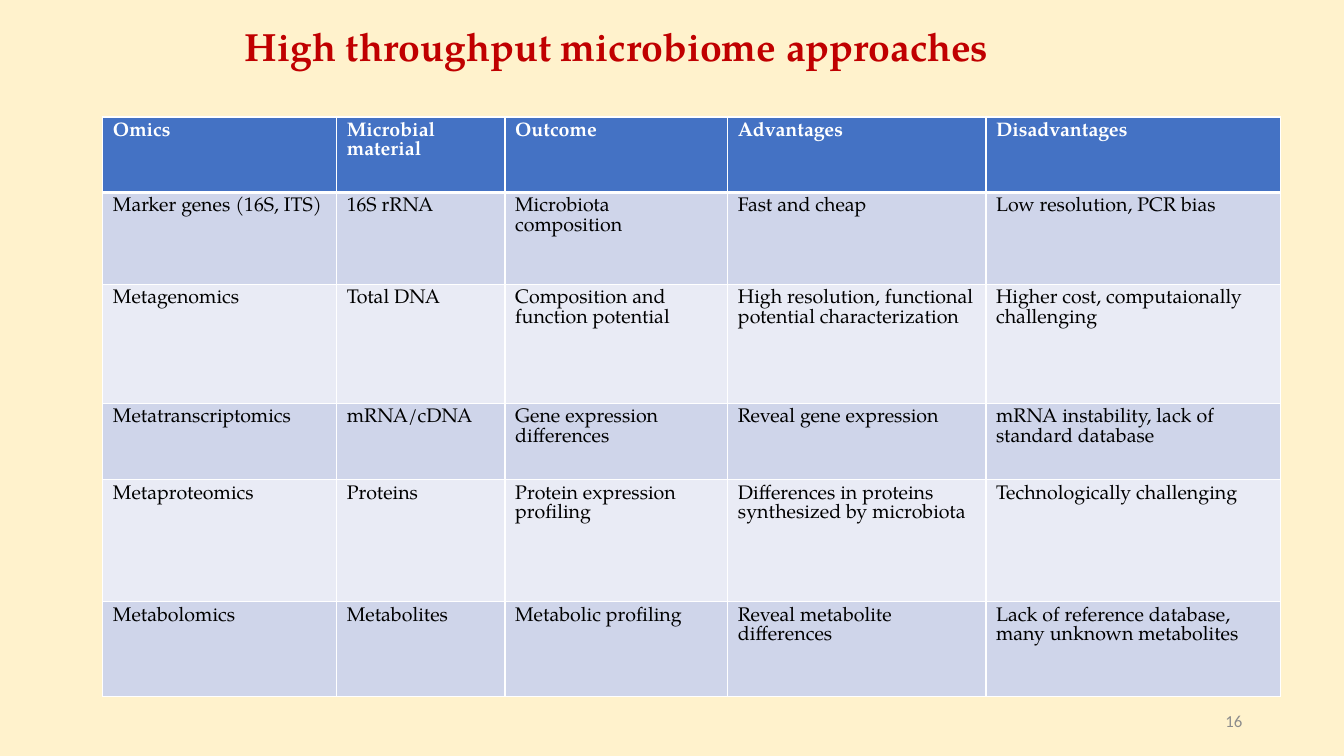
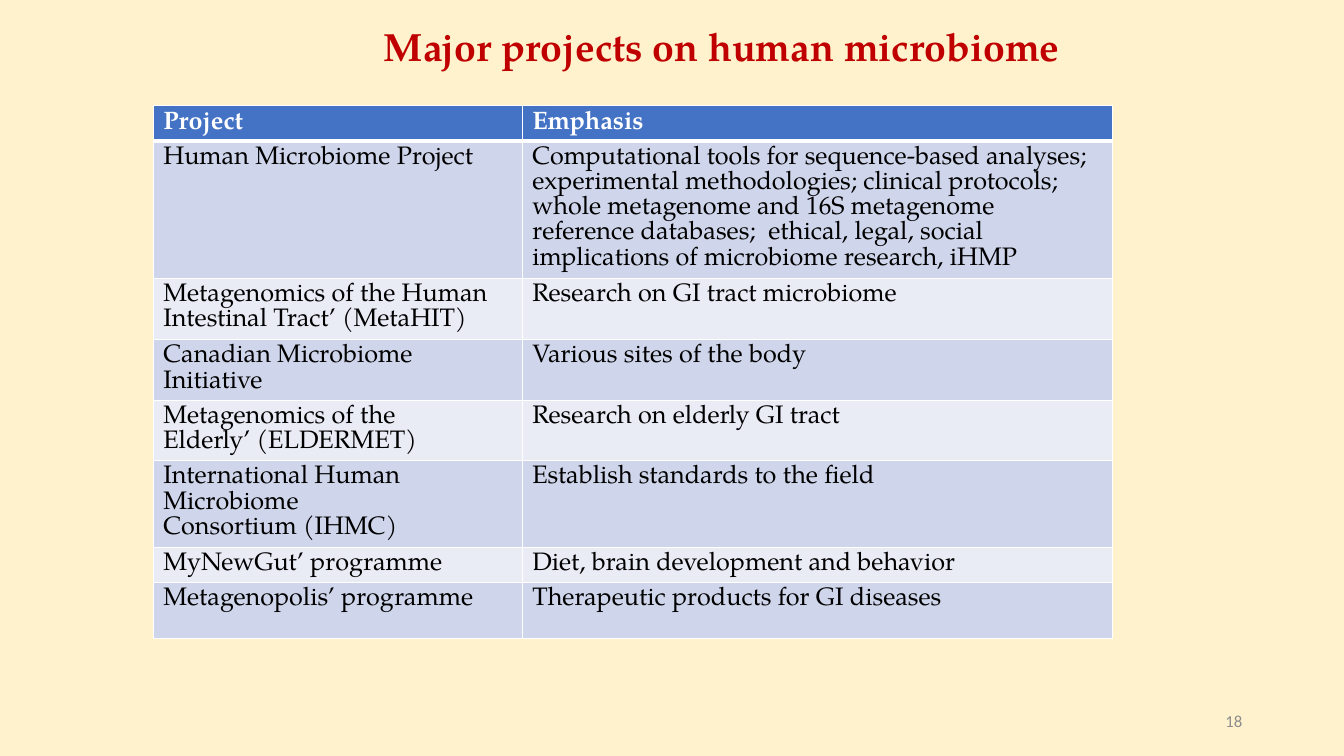
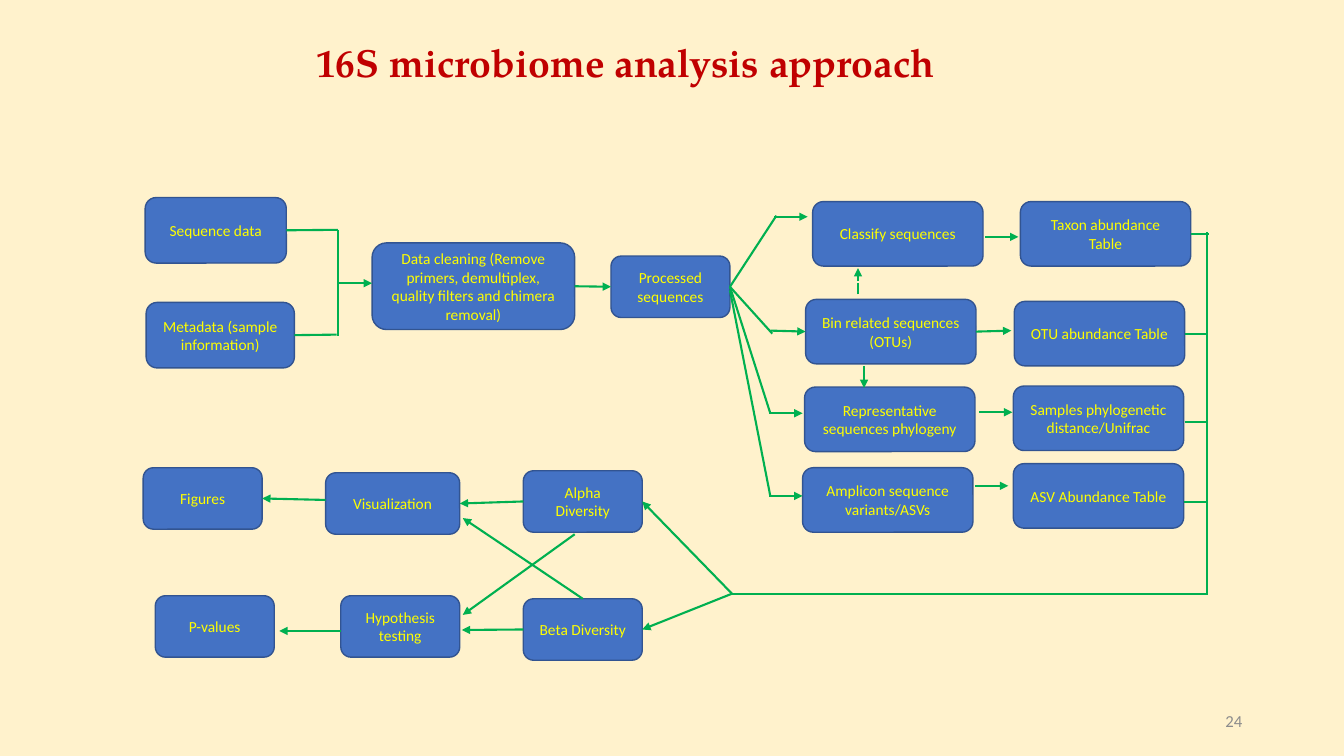
"""Build three slides on microbiome methods, projects and the 16S workflow."""
from lxml.etree import SubElement
from pptx import Presentation
from pptx.dml.color import RGBColor
from pptx.enum.shapes import MSO_CONNECTOR, MSO_SHAPE
from pptx.enum.text import MSO_ANCHOR, PP_ALIGN
from pptx.oxml.ns import qn
from pptx.util import Inches, Pt

COLORS = {
    "page": "FFF2CC", "title": "C00000", "number": "8C8C8C",
    "blue": "4472C4", "outline": "325491", "label": "FFFF00", "arrow": "00B050",
    "white": "FFFFFF", "black": "000000", "odd": "CFD5EA", "even": "E9EBF5",
}
SERIF, SANS = "TeX Gyre Pagella", "Calibri"
TITLE = {"name": SERIF, "size": Pt(28), "bold": True, "color": "title"}
NUMBER = {"name": SANS, "size": Pt(12), "color": "number"}
LABEL = {"name": SANS, "size": Pt(11), "color": "label"}

OMICS = [
    ["Omics", "Microbial material", "Outcome", "Advantages", "Disadvantages"],
    ["Marker genes (16S, ITS)", "16S rRNA", "Microbiota composition",
     "Fast and cheap", "Low resolution, PCR bias"],
    ["Metagenomics", "Total DNA", "Composition and function potential",
     "High resolution, functional potential characterization",
     "Higher cost, computaionally challenging"],
    ["Metatranscriptomics", "mRNA/cDNA", "Gene expression differences",
     "Reveal gene expression", "mRNA instability, lack of standard database"],
    ["Metaproteomics", "Proteins", "Protein expression profiling",
     "Differences in proteins synthesized by microbiota",
     "Technologically challenging"],
    ["Metabolomics", "Metabolites", "Metabolic profiling",
     "Reveal metabolite differences",
     "Lack of reference database, many unknown metabolites"],
]
PROJECTS = [
    ["Project", "Emphasis"],
    ["Human Microbiome Project",
     "Computational tools for sequence-based analyses; experimental "
     "methodologies; clinical protocols; whole metagenome and 16S metagenome "
     "reference databases;  ethical, legal, social implications of microbiome "
     "research, iHMP"],
    ["Metagenomics of the Human Intestinal Tract’ (MetaHIT)",
     "Research on GI tract microbiome"],
    ["Canadian Microbiome Initiative", "Various sites of the body"],
    ["Metagenomics of the\nElderly’ (ELDERMET)", "Research on elderly GI tract"],
    ["International Human Microbiome\nConsortium (IHMC)",
     "Establish standards to the field"],
    ["MyNewGut’ programme", "Diet, brain development and behavior"],
    ["Metagenopolis’ programme", "Therapeutic products for GI diseases"],
]

WIDE, SMALL = (1.69, 0.64), (1.18, 0.61)
STEPS = [
    ("Sequence data", 1.44, 1.96, (1.4, 0.65)),
    ("Metadata (sample information)", 1.45, 3, (1.47, 0.65)),
    ("Data cleaning (Remove primers, demultiplex, quality filters and "
     "chimera removal)", 3.69, 2.41, (2.01, 0.86)),
    ("Processed sequences", 6.06, 2.54, SMALL),
    ("Classify sequences", 8.06, 2, WIDE),
    ("Bin related sequences (OTUs)", 7.99, 2.97, WIDE),
    ("Representative sequences phylogeny", 7.98, 3.84, WIDE),
    ("Amplicon sequence variants/ASVs", 7.96, 4.64, WIDE),
    ("Taxon abundance Table", 10.12, 2, WIDE),
    ("OTU abundance Table", 10.06, 2.99, WIDE),
    ("Samples phylogenetic distance/Unifrac", 10.05, 3.83, WIDE),
    ("ASV Abundance Table", 10.05, 4.6, WIDE),
    ("Alpha Diversity", 5.19, 4.67, SMALL),
    ("Beta Diversity", 5.19, 5.94, SMALL),
    ("Visualization", 3.23, 4.69, (1.33, 0.61)),
    ("Hypothesis testing", 3.38, 5.91, SMALL),
    ("Figures", 1.42, 4.64, SMALL),
    ("P-values", 1.54, 5.91, SMALL),
]
LINES = [
    (2.85, 2.29, 3.35, 2.28), (2.92, 3.32, 3.34, 3.32), (3.35, 2.28, 3.35, 3.33),
    (7.24, 2.85, 7.7, 2.14), (7.26, 2.86, 7.66, 3.31),
    (7.25, 2.83, 7.64, 4.1), (7.24, 2.88, 7.64, 4.92),
    (8.51, 2.92, 8.51, 2.81),
    (11.81, 2.32, 11.99, 2.32), (11.74, 3.31, 11.97, 3.31),
    (11.75, 4.19, 11.98, 4.19), (11.74, 4.98, 11.97, 4.98),
    (11.97, 2.3, 11.97, 5.9), (11.98, 5.89, 7.26, 5.89),
]
ARROWS = [
    (3.36, 2.81, 3.69, 2.81), (5.71, 2.83, 6.04, 2.83),
    (7.68, 2.15, 8.01, 2.15), (7.64, 3.28, 7.97, 3.28),
    (7.63, 4.1, 7.96, 4.1), (7.63, 4.92, 7.96, 4.92),
    (9.77, 2.35, 10.1, 2.35), (9.7, 3.28, 10.03, 3.28),
    (9.71, 4.09, 10.04, 4.09), (9.67, 4.82, 10, 4.82),
    (8.51, 2.79, 8.51, 2.66), (8.57, 3.63, 8.57, 3.85),
    (7.26, 5.89, 6.38, 4.98), (7.26, 5.89, 6.38, 6.25),
    (5.19, 4.98, 4.58, 4.98), (5.19, 6.26, 4.58, 6.25),
    (5.7, 5.3, 4.59, 6.1), (5.79, 5.94, 4.59, 5.14),
    (3.23, 4.96, 2.62, 4.96), (3.38, 6.26, 2.77, 6.26),
]


def rgb(name):
    return RGBColor.from_string(COLORS[name])


def write(tf, text, style, **para):
    tf.word_wrap = True
    tf.text = text
    for p in tf.paragraphs:
        for key, value in para.items():
            setattr(p, key, value)
        for r in p.runs:
            for key, value in style.items():
                if key == "color":
                    r.font.color.rgb = rgb(value)
                else:
                    setattr(r.font, key, value)


def add_text(s, at, text, style, anchor=MSO_ANCHOR.TOP, **para):
    tf = s.shapes.add_textbox(*map(Inches, at)).text_frame
    tf.vertical_anchor = anchor
    write(tf, text, style, **para)


def add_slide(prs, title, title_at, number):
    s = prs.slides.add_slide(prs.slide_layouts[6])
    add_text(s, title_at, title, TITLE, line_spacing=0.9)
    add_text(s, (9.42, 6.95, 3, 0.4), number, NUMBER, MSO_ANCHOR.MIDDLE,
             alignment=PP_ALIGN.RIGHT)
    return s


def add_borders(cell, widths):
    tc_pr = cell._tc.get_or_add_tcPr()
    for side, width in widths.items():
        ln = SubElement(tc_pr, qn(f"a:ln{side}"), w=str(Pt(width)))
        fill = SubElement(ln, qn("a:solidFill"))
        SubElement(fill, qn("a:srgbClr"), val=COLORS["white"])


def add_grid(s, left, top, cols, rows, data, size, **para):
    frame = s.shapes.add_table(len(rows), len(cols), Inches(left), Inches(top),
                               Inches(sum(cols)), Inches(sum(rows)))
    table = frame.table
    for col, width in zip(table.columns, cols):
        col.width = Inches(width)
    for i, (row, height) in enumerate(zip(table.rows, rows)):
        row.height = Inches(height)
        head = i == 0
        fill = "blue" if head else "odd" if i % 2 else "even"
        style = {"name": SERIF, "size": Pt(size), "bold": head,
                 "color": "white" if head else "black"}
        for cell, text in zip(row.cells, data[i]):
            add_borders(cell, {"L": 1, "R": 1, "T": 3 if i == 1 else 1,
                               "B": 3 if head else 1})
            cell.fill.solid()
            cell.fill.fore_color.rgb = rgb(fill)
            write(cell.text_frame, text, style, **para)


def add_step(s, text, x, y, size):
    sp = s.shapes.add_shape(MSO_SHAPE.ROUNDED_RECTANGLE, *map(Inches, (x, y, *size)))
    sp.shadow.inherit = False
    sp.fill.solid()
    sp.fill.fore_color.rgb = rgb("blue")
    sp.line.color.rgb = rgb("outline")
    sp.line.width = Pt(1)
    sp.text_frame.vertical_anchor = MSO_ANCHOR.MIDDLE
    write(sp.text_frame, text, LABEL, alignment=PP_ALIGN.CENTER)
    return sp


def find_site(steps, x, y):
    for sp in steps:
        mid_x, mid_y = sp.left + sp.width // 2, sp.top + sp.height // 2
        sites = [(mid_x, sp.top), (sp.left, mid_y),
                 (mid_x, sp.top + sp.height), (sp.left + sp.width, mid_y)]
        for i, (site_x, site_y) in enumerate(sites):
            if max(abs(site_x - x), abs(site_y - y)) <= Inches(0.02):
                return sp, i
    return None


def add_line(s, steps, ends, arrow=False):
    x1, y1, x2, y2 = map(Inches, ends)
    line = s.shapes.add_connector(MSO_CONNECTOR.STRAIGHT, x1, y1, x2, y2)
    line.line.color.rgb = rgb("arrow")
    line.line.width = Pt(1.5)
    if arrow:
        SubElement(line.line._get_or_add_ln(), qn("a:tailEnd"), type="triangle")
    SubElement(line._element.spPr, qn("a:effectLst"))
    for join, x, y in ((line.begin_connect, x1, y1), (line.end_connect, x2, y2)):
        site = find_site(steps, x, y)
        if site:
            join(*site)


def main():
    prs = Presentation()
    prs.slide_width, prs.slide_height = Inches(13.33), Inches(7.5)
    fill = prs.slide_master.background.fill
    fill.solid()
    fill.fore_color.rgb = rgb("page")

    s = add_slide(prs, "High throughput microbiome approaches",
                  (2.33, 0.22, 9.25, 0.35), "16")
    add_grid(s, 1.02, 1.16, [2.32, 1.67, 2.21, 2.56, 2.92],
             [0.75, 0.91, 1.18, 0.76, 1.21, 0.94], OMICS, 14)

    s = add_slide(prs, "Major projects on human microbiome",
                  (3.71, 0.22, 7.33, 0.49), "18")
    add_grid(s, 1.52, 1.05, [3.66, 5.85],
             [0.34, 1.36, 0.61, 0.6, 0.6, 0.86, 0.35, 0.55], PROJECTS, 18,
             line_spacing=Pt(18))

    s = add_slide(prs, "16S microbiome analysis approach",
                  (3.04, 0.38, 6.73, 0.78), "24")
    steps = [add_step(s, *step) for step in STEPS]
    for ends in LINES:
        add_line(s, steps, ends)
    for ends in ARROWS:
        add_line(s, steps, ends, arrow=True)

    prs.save("out.pptx")


if __name__ == "__main__":
    main()
